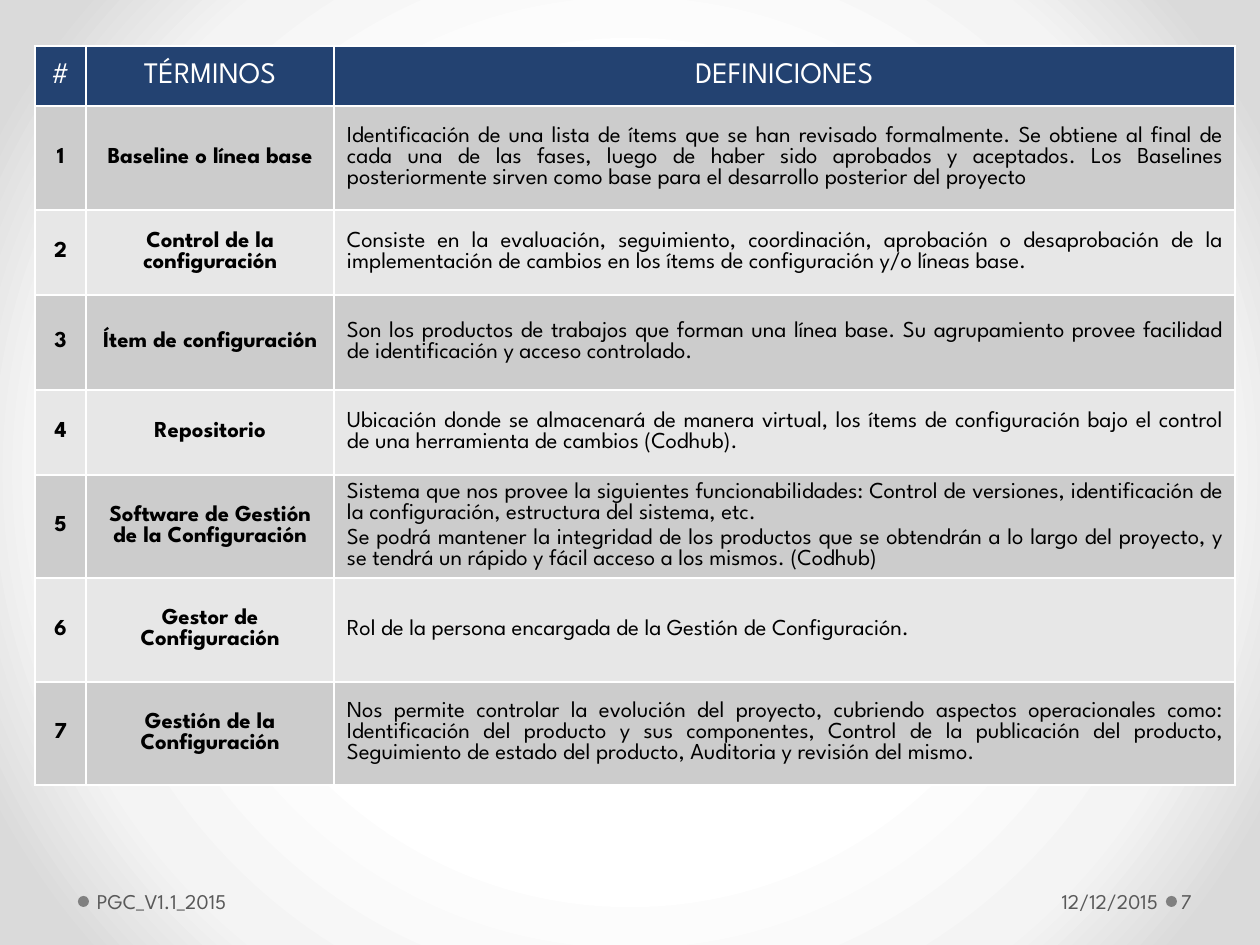
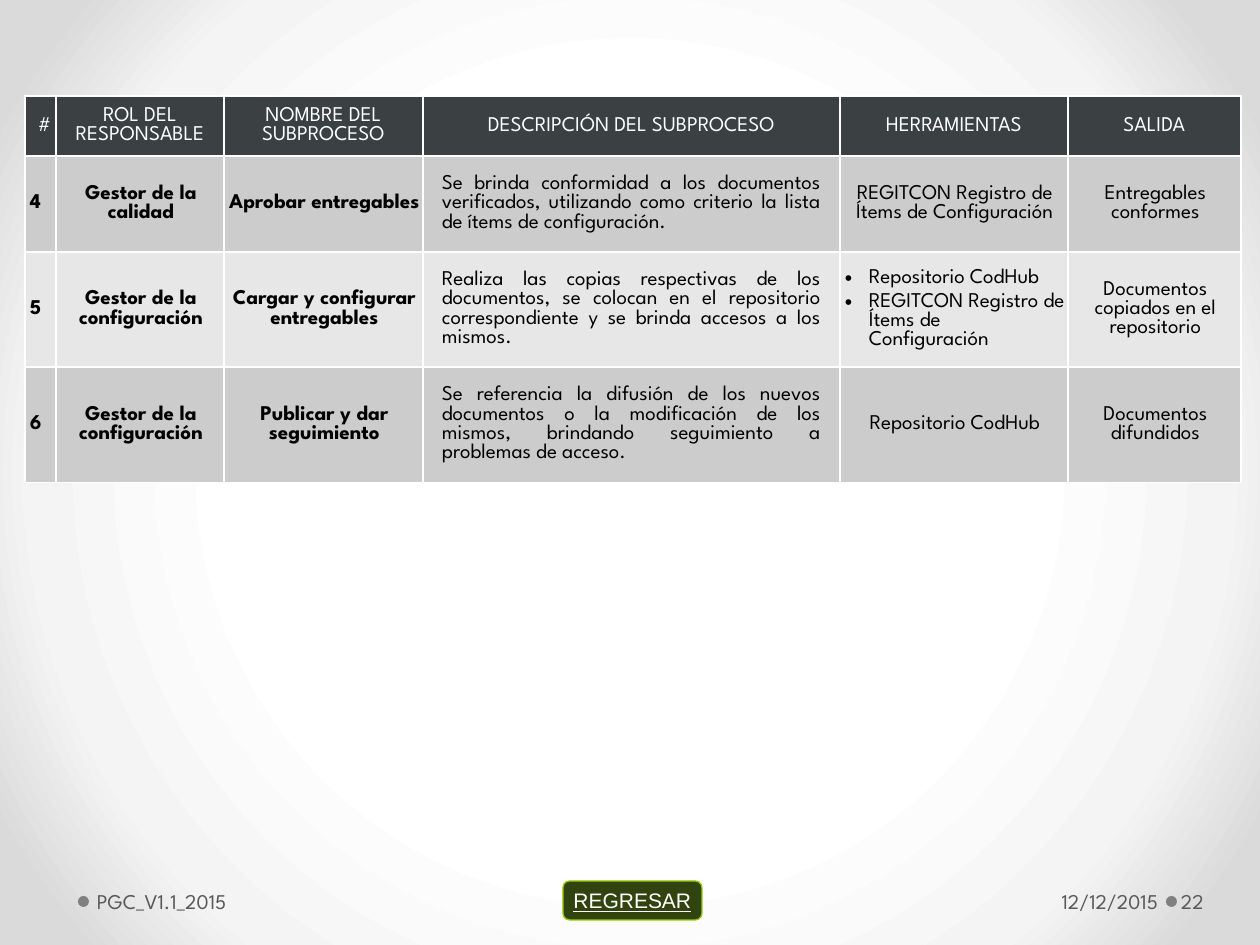
"""Build the glossary and subprocess table slides of a configuration plan."""
import pptx
import pptx.dml.color
import pptx.enum.shapes
import pptx.enum.text
import pptx.oxml
import pptx.util

FONT = "League Spartan"
LINE_PITCH = 0.92
WHITE, BLACK, GREY, DOT = "FFFFFF", "000000", "595959", "808080"
BANDS = ("CCCCCC", "E7E7E7")
BACKDROP = ((50, "FFFFFF"), (76, "F4F4F4"), (92, "DADADA"))
VERSION, DATE = "PGC_V1.1_2015", "12/12/2015"
NORMAL = (13, 6, 13, 6)
TIGHT = (5, 6, 3, 6)
ROOMY = (19, 19, 19, 19)
LEFT, CENTER, RIGHT, JUSTIFY = (
    getattr(pptx.enum.text.PP_ALIGN, name) for name in ("LEFT", "CENTER", "RIGHT", "JUSTIFY"))

GLOSSARY = {
    "page": "7",
    "corner": (35, 46),
    "head_fill": "234271",
    "sizes": (17, 13),
    "heights": (60, 104, 85, 95, 85, 103, 104, 103),
    "columns": [
        ("#", 51, CENTER, True, NORMAL),
        ("TÉRMINOS", 248, CENTER, True, NORMAL),
        ("DEFINICIONES", 901, JUSTIFY, False, NORMAL),
    ],
    "rows": [
        ("1", "Baseline o línea base",
         "Identificación de una lista de ítems que se han revisado formalmente. Se obtiene al final "
         "de cada una de las fases, luego de haber sido aprobados y aceptados. Los Baselines "
         "posteriormente sirven como base para el desarrollo posterior del proyecto"),
        ("2", "Control de la configuración",
         "Consiste en la evaluación, seguimiento, coordinación, aprobación o desaprobación de la "
         "implementación de cambios en los ítems de configuración y/o líneas base."),
        ("3", "Ítem de configuración",
         "Son los productos de trabajos que forman una línea base. Su agrupamiento provee facilidad "
         "de identificación y acceso controlado."),
        ("4", "Repositorio",
         "Ubicación donde se almacenará de manera virtual, los ítems de configuración bajo el "
         "control de una herramienta de cambios (Codhub)."),
        ("5", "Software de Gestión de la Configuración",
         "Sistema que nos provee la siguientes funcionabilidades: Control de versiones, "
         "identificación de la configuración, estructura del sistema, etc.\n"
         "Se podrá mantener la integridad de los productos que se obtendrán a lo largo del "
         "proyecto, y se tendrá un rápido y fácil acceso a los mismos. (Codhub)"),
        ("6", "Gestor de Configuración",
         "Rol de la persona encargada de la Gestión de Configuración."),
        ("7", "Gestión de la Configuración",
         "Nos permite controlar la evolución del proyecto, cubriendo aspectos operacionales como: "
         "Identificación del producto y sus componentes, Control de la publicación del producto, "
         "Seguimiento de estado del producto, Auditoria y revisión del mismo."),
    ],
}

SUBPROCESSES = {
    "page": "22",
    "corner": (25, 96),
    "head_fill": "3B4042",
    "sizes": (12, 12),
    "heights": (60, 96, 115, 115),
    "columns": [
        ("#", 30, LEFT, True, TIGHT),
        ("ROL DEL RESPONSABLE", 168, CENTER, True, TIGHT),
        ("NOMBRE DEL SUBPROCESO", 199, CENTER, True, TIGHT),
        ("DESCRIPCIÓN DEL SUBPROCESO", 417, JUSTIFY, False, ROOMY),
        ("HERRAMIENTAS", 228, CENTER, False, TIGHT),
        ("SALIDA", 173, CENTER, False, TIGHT),
    ],
    "rows": [
        ("4", "Gestor de la calidad", "Aprobar entregables",
         "Se brinda conformidad a los documentos verificados, utilizando como criterio la lista de "
         "ítems de configuración.",
         "REGITCON Registro de Ítems de Configuración", "Entregables conformes"),
        ("5", "Gestor de la configuración", "Cargar y configurar entregables",
         "Realiza las copias respectivas de los documentos, se colocan en el repositorio "
         "correspondiente y se brinda accesos a los mismos.",
         "• Repositorio CodHub\n• REGITCON Registro de Ítems de Configuración",
         "Documentos copiados en el repositorio"),
        ("6", "Gestor de la configuración", "Publicar y dar seguimiento",
         "Se referencia la difusión de los nuevos documentos o la modificación de los mismos, "
         "brindando seguimiento a problemas de acceso.",
         "Repositorio CodHub", "Documentos difundidos"),
    ],
}

BACK_BUTTON = ("REGRESAR", (563, 881, 139, 39))
NS = 'xmlns:a="http://schemas.openxmlformats.org/drawingml/2006/main"'


def px(length):
    return round(length * 914400 / 126)


def color(code):
    return pptx.dml.color.RGBColor.from_string(code)


def paint(fill, code):
    fill.solid()
    fill.fore_color.rgb = color(code)


def set_insets(holder, insets):
    for side, inset in zip(("left", "top", "right", "bottom"), insets):
        setattr(holder, f"margin_{side}", px(inset))


def add_run(paragraph, words, size, code, align, bold=False, font=FONT):
    paragraph.alignment = align
    run = paragraph.add_run()
    run.text = words
    run.font.name, run.font.size, run.font.bold = font, pptx.util.Pt(size), bold
    run.font.color.rgb = color(code)
    return run


def add_bullet(paragraph):
    properties = paragraph._p.get_or_add_pPr()
    properties.set("marL", str(px(24)))
    properties.set("indent", str(-px(24)))
    for tag in ('buFont typeface="Arial"', 'buChar char="•"'):
        properties.append(pptx.oxml.parse_xml(f"<a:{tag} {NS}/>"))


def set_backdrop(slide):
    slide.background.fill.solid()
    stops = "".join(f'<a:gs pos="{at * 1000}"><a:srgbClr val="{code}"/></a:gs>'
                    for at, code in BACKDROP)
    gradient = pptx.oxml.parse_xml(
        f'<a:gradFill {NS} rotWithShape="1"><a:gsLst>{stops}</a:gsLst><a:path path="circle">'
        '<a:fillToRect l="50000" t="50000" r="50000" b="50000"/></a:path></a:gradFill>')
    properties = slide.element.xpath(".//p:bgPr")[0]
    properties.replace(properties[0], gradient)


def add_form(slide, kind, box, fill):
    form = slide.shapes.add_shape(kind, *map(px, box))
    form.shadow.inherit = False
    paint(form.fill, fill)
    form.line.fill.background()
    return form


def add_footer(slide, page):
    for left in (1166, 78):
        add_form(slide, pptx.enum.shapes.MSO_SHAPE.OVAL, (left, 896, 11, 11), DOT)
    for words, left, width, align, insets in (
            (page, 1177, 77, LEFT, (4, 6, 6, 6)),
            (DATE, 877, 287, RIGHT, (13, 6, 6, 6)),
            (VERSION, 91, 499, LEFT, (6, 6, 13, 6))):
        frame = slide.shapes.add_textbox(*map(px, (left, 876, width, 50))).text_frame
        frame.word_wrap = True
        frame.vertical_anchor = pptx.enum.text.MSO_ANCHOR.MIDDLE
        set_insets(frame, insets)
        add_run(frame.paragraphs[0], words, 12, GREY, align)


def fill_cell(cell, words, size, code, align, bold, insets, fill):
    cell.vertical_anchor = pptx.enum.text.MSO_ANCHOR.MIDDLE
    set_insets(cell, insets)
    paint(cell.fill, fill)
    for place, side in enumerate("LRTB"):
        cell._tc.get_or_add_tcPr().insert(place, pptx.oxml.parse_xml(
            f'<a:ln{side} {NS} w="12700"><a:solidFill><a:srgbClr val="{WHITE}"/>'
            f"</a:solidFill></a:ln{side}>"))
    for index, line in enumerate(words.split("\n")):
        frame = cell.text_frame
        paragraph = frame.add_paragraph() if index else frame.paragraphs[0]
        paragraph.line_spacing = pptx.util.Pt(size * LINE_PITCH)
        if index:
            paragraph.space_before = pptx.util.Pt(size * 0.2)
        bulleted = line.startswith("• ")
        add_run(paragraph, line.removeprefix("• "), size, code, LEFT if bulleted else align, bold)
        if bulleted:
            add_bullet(paragraph)


def add_grid(slide, content):
    columns, rows, heights = content["columns"], content["rows"], content["heights"]
    head_size, body_size = content["sizes"]
    size = (sum(column[1] for column in columns), sum(heights))
    grid = slide.shapes.add_table(
        len(heights), len(columns), *map(px, content["corner"] + size)).table
    grid.first_row = grid.horz_banding = False
    for row, height in zip(grid.rows, heights):
        row.height = px(height)
    for c, (heading, width, align, bold, insets) in enumerate(columns):
        grid.columns[c].width = px(width)
        fill_cell(grid.cell(0, c), heading, head_size, WHITE, CENTER, False, NORMAL,
                  content["head_fill"])
        for r, row in enumerate(rows):
            fill_cell(grid.cell(r + 1, c), row[c], body_size, BLACK, align, bold, insets,
                      BANDS[r % 2])


def add_back_button(slide):
    label, box = BACK_BUTTON
    button = add_form(slide, pptx.enum.shapes.MSO_SHAPE.FLOWCHART_ALTERNATE_PROCESS, box, "314410")
    button.line.color.rgb = color("99CC00")
    button.line.width = pptx.util.Pt(0.75)
    button.text_frame.word_wrap = False
    button.text_frame.vertical_anchor = pptx.enum.text.MSO_ANCHOR.MIDDLE
    run = add_run(button.text_frame.paragraphs[0], label, 12, WHITE, CENTER, font="Arial")
    run.font.underline = True


def main():
    deck = pptx.Presentation()
    deck.slide_width, deck.slide_height = px(1260), px(945)
    for content in (GLOSSARY, SUBPROCESSES):
        slide = deck.slides.add_slide(deck.slide_layouts[6])
        set_backdrop(slide)
        add_footer(slide, content["page"])
        add_grid(slide, content)
    add_back_button(slide)
    deck.save("out.pptx")


if __name__ == "__main__":
    main()
